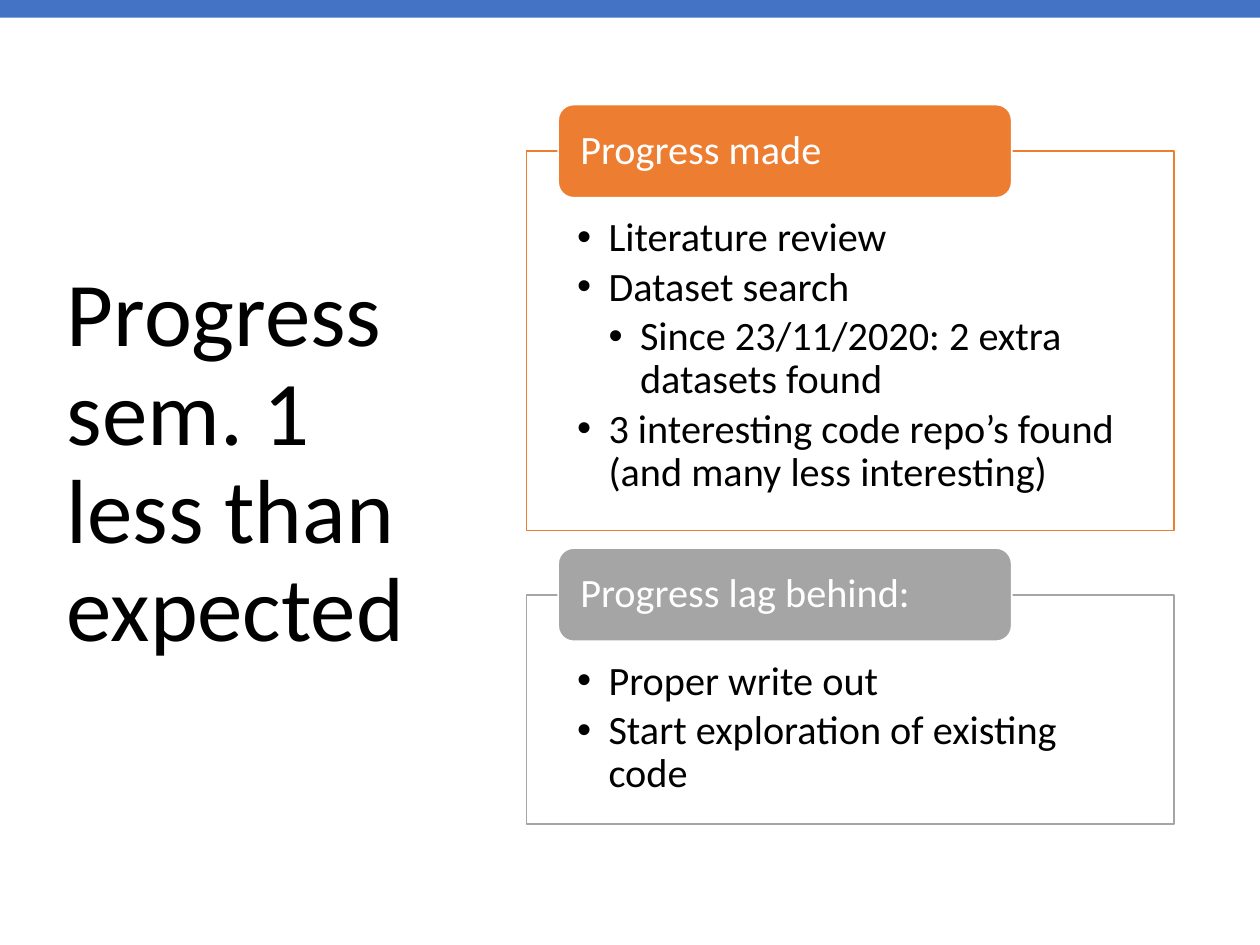
from lxml import etree
from pptx import Presentation
from pptx import util as u
from pptx.dml.color import RGBColor
from pptx.enum import shapes, text
from pptx.oxml.ns import qn


def add_text(tf, content, first=False, level=0, size=23, color="000000", after=0):
    p = tf.paragraphs[0] if first else tf.add_paragraph()
    p.alignment = text.PP_ALIGN.LEFT
    p.line_spacing = 0.9
    p.space_before = u.Pt(0)
    p.space_after = u.Pt(after)
    if level:
        p.level = level
        pPr = p._p.get_or_add_pPr()
        pPr.set("marL", str(u.Inches(0.25 * level)))
        pPr.set("indent", str(u.Inches(-0.25)))
        etree.SubElement(pPr, qn("a:buFont"), typeface="Arial")
        etree.SubElement(pPr, qn("a:buChar"), char="•")
    r = p.add_run()
    r.text = content
    r.font.name = "Calibri"
    r.font.size = u.Pt(size)
    r.font.color.rgb = RGBColor.from_string(color)


def add_box(s, kind, box, fill, line=None, margins=(0, 0, 0, 0), anchor="MIDDLE"):
    sp = s.shapes.add_shape(kind, *[u.Inches(v) for v in box])
    sp.shadow.inherit = False
    sp.fill.solid()
    sp.fill.fore_color.rgb = RGBColor.from_string(fill)
    if line:
        sp.line.color.rgb = RGBColor.from_string(line)
        sp.line.width = u.Pt(1)
    else:
        sp.line.fill.background()
    tf = sp.text_frame
    tf.word_wrap = True
    tf.vertical_anchor = text.MSO_ANCHOR[anchor]
    tf.margin_left, tf.margin_top, tf.margin_right, tf.margin_bottom = [
        u.Inches(m) for m in margins
    ]
    return sp


prs = Presentation()
prs.slide_width, prs.slide_height = u.Inches(10), u.Inches(7.5)
s = prs.slides.add_slide(prs.slide_layouts[5])

title = s.shapes.title
title.left, title.top = u.Inches(0.43), u.Inches(0.68)
title.width, title.height = u.Inches(3.12), u.Inches(6.02)
tf = title.text_frame
tf.word_wrap = True
tf.auto_size = text.MSO_AUTO_SIZE.NONE
tf.vertical_anchor = text.MSO_ANCHOR.MIDDLE
add_text(tf, "Progress sem. 1 less than expected", first=True, size=52)

rect = shapes.MSO_SHAPE.RECTANGLE
add_box(s, rect, (0, 0, 10, 0.14), "4472C4")

sections = [
    ("Progress made", "ED7D31", 1.2, 3.01, [
        (1, "Literature review"),
        (1, "Dataset search"),
        (2, "Since 23/11/2020: 2 extra datasets found"),
        (1, "3 interesting code repo’s found (and many less interesting)"),
    ]),
    ("Progress lag behind:", "A5A5A5", 4.72, 1.82, [
        (1, "Proper write out"),
        (1, "Start exploration of existing code"),
    ]),
]

for heading, color, top, height, items in sections:
    sp = add_box(s, rect, (4.18, top, 5.14, height), "FFFFFF", color,
                 (0.4, 0.52, 0.4, 0.18), "TOP")
    solid = sp.fill._xPr.find(qn("a:solidFill"))
    etree.SubElement(solid[0], qn("a:alpha"), val="90000")
    for i, (level, item) in enumerate(items):
        add_text(sp.text_frame, item, first=i == 0, level=level, after=3.45)

    sp = add_box(s, shapes.MSO_SHAPE.ROUNDED_RECTANGLE, (4.43, top - 0.37, 3.6, 0.74),
                 color, "FFFFFF", (0.14, 0, 0.14, 0))
    add_text(sp.text_frame, heading, first=True, color="FFFFFF")

prs.save("out.pptx")
